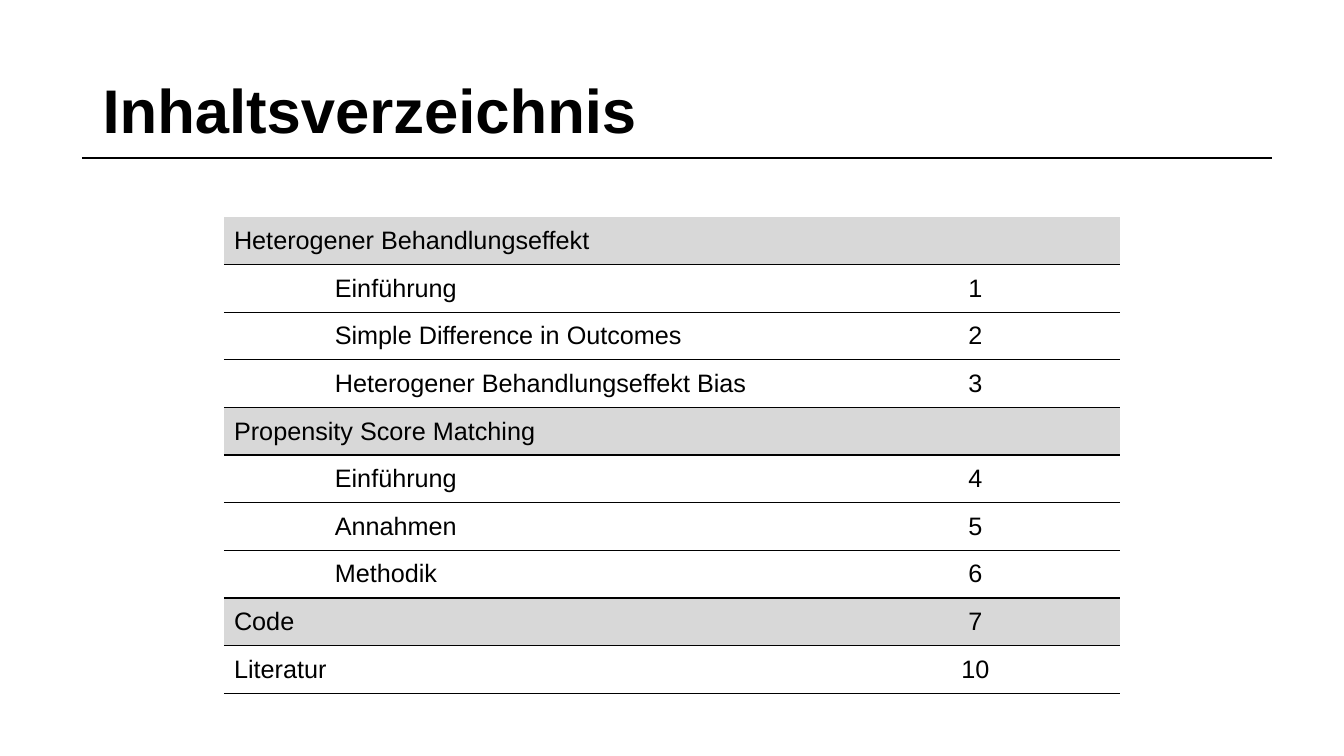
from dataclasses import dataclass

from lxml import etree
from pptx import Presentation
from pptx.dml.color import RGBColor
from pptx.enum.shapes import MSO_CONNECTOR
from pptx.enum.text import MSO_ANCHOR, PP_ALIGN
from pptx.oxml.ns import qn
from pptx.slide import Slide
from pptx.table import _Cell
from pptx.text.text import TextFrame
from pptx.util import Inches, Pt

STRAIGHT = MSO_CONNECTOR.STRAIGHT
MIDDLE = MSO_ANCHOR.MIDDLE
LEFT, CENTER = PP_ALIGN.LEFT, PP_ALIGN.CENTER

COLORS = {"ink": "000000", "section": "D8D8D8", "paper": "FFFFFF"}
FONT = "Arial"
WIDTH, HEIGHT = Inches(13.333), Inches(7.5)
NO_STYLE = "{2D5ABB26-0587-4C30-8999-92F81FD0307C}"

# Shares of the slide's width and height
TITLE_BOX = (0.069, 0.053, 0.8625, 0.193)
RULE_START, RULE_END, RULE_Y = 0.061, 0.9465, 0.209
CONTENTS_LEFT, CONTENTS_TOP = 1 / 6, 0.287
COLUMN_SHARES = (0.4515, 0.2152)
ROW_SHARE = 0.063


@dataclass(frozen=True)
class Entry:
    heading: str
    page: str = ""
    nested: bool = False
    shaded: bool = False


ENTRIES = (
    Entry("Heterogener Behandlungseffekt", shaded=True),
    Entry("Einführung", "1", nested=True),
    Entry("Simple Difference in Outcomes", "2", nested=True),
    Entry("Heterogener Behandlungseffekt Bias", "3", nested=True),
    Entry("Propensity Score Matching", shaded=True),
    Entry("Einführung", "4", nested=True),
    Entry("Annahmen", "5", nested=True),
    Entry("Methodik", "6", nested=True),
    Entry("Code", "7", shaded=True),
    Entry("Literatur", "10"),
)


def across(share: float) -> int:
    return round(WIDTH * share)


def down(share: float) -> int:
    return round(HEIGHT * share)


def color(key: str) -> RGBColor:
    return RGBColor.from_string(COLORS[key])


def write(frame: TextFrame, text: str, *, size: float = 18, bold: bool = False,
          align: PP_ALIGN = LEFT, spacing: float = 1.0, level: int = 0) -> None:
    paragraph = frame.paragraphs[0]
    paragraph.alignment = align
    paragraph.line_spacing = spacing
    if level:
        paragraph.level = level
        properties = paragraph._p.get_or_add_pPr()
        properties.set("marL", str(Inches(0.5 * level)))
        properties.set("indent", "0")
    run = paragraph.add_run()
    run.text = text
    run.font.name = FONT
    run.font.size = Pt(size)
    run.font.bold = bold
    run.font.color.rgb = color("ink")


def underline_cell(cell: _Cell) -> None:
    border = etree.Element(qn("a:lnB"), w=str(Pt(1)))
    fill = etree.SubElement(border, qn("a:solidFill"))
    etree.SubElement(fill, qn("a:srgbClr"), val=COLORS["ink"])
    cell._tc.get_or_add_tcPr().insert(0, border)


def add_title(slide: Slide) -> None:
    left, top, width, height = TITLE_BOX
    title = slide.shapes.add_textbox(across(left), down(top), across(width), down(height))
    title.text_frame.word_wrap = True
    title.text_frame.vertical_anchor = MIDDLE
    write(title.text_frame, "Inhaltsverzeichnis", size=44, bold=True, spacing=0.9)


def add_contents(slide: Slide) -> None:
    contents = slide.shapes.add_table(
        len(ENTRIES), len(COLUMN_SHARES), across(CONTENTS_LEFT), down(CONTENTS_TOP),
        across(sum(COLUMN_SHARES)), down(ROW_SHARE * len(ENTRIES))).table
    contents.first_row = contents.horz_banding = False
    contents._tbl.tblPr.find(qn("a:tableStyleId")).text = NO_STYLE
    for column, share in zip(contents.columns, COLUMN_SHARES):
        column.width = across(share)
    for row, entry in zip(contents.rows, ENTRIES):
        row.height = down(ROW_SHARE)
        heading, page = row.cells
        for cell in (heading, page):
            cell.vertical_anchor = MIDDLE
            cell.fill.solid()
            cell.fill.fore_color.rgb = color("section" if entry.shaded else "paper")
            underline_cell(cell)
        write(heading.text_frame, entry.heading, level=2 if entry.nested else 0)
        if entry.page:
            write(page.text_frame, entry.page, align=CENTER)


def add_title_rule(slide: Slide) -> None:
    rule = slide.shapes.add_connector(
        STRAIGHT, across(RULE_START), down(RULE_Y), across(RULE_END), down(RULE_Y))
    rule.line.color.rgb = color("ink")
    rule.line.width = Pt(1.5)
    etree.SubElement(rule._element.spPr, qn("a:effectLst"))


def main() -> None:
    presentation = Presentation()
    presentation.slide_width, presentation.slide_height = WIDTH, HEIGHT
    slide = presentation.slides.add_slide(presentation.slide_layouts[6])
    add_title(slide)
    add_contents(slide)
    add_title_rule(slide)
    presentation.save("out.pptx")


if __name__ == "__main__":
    main()
